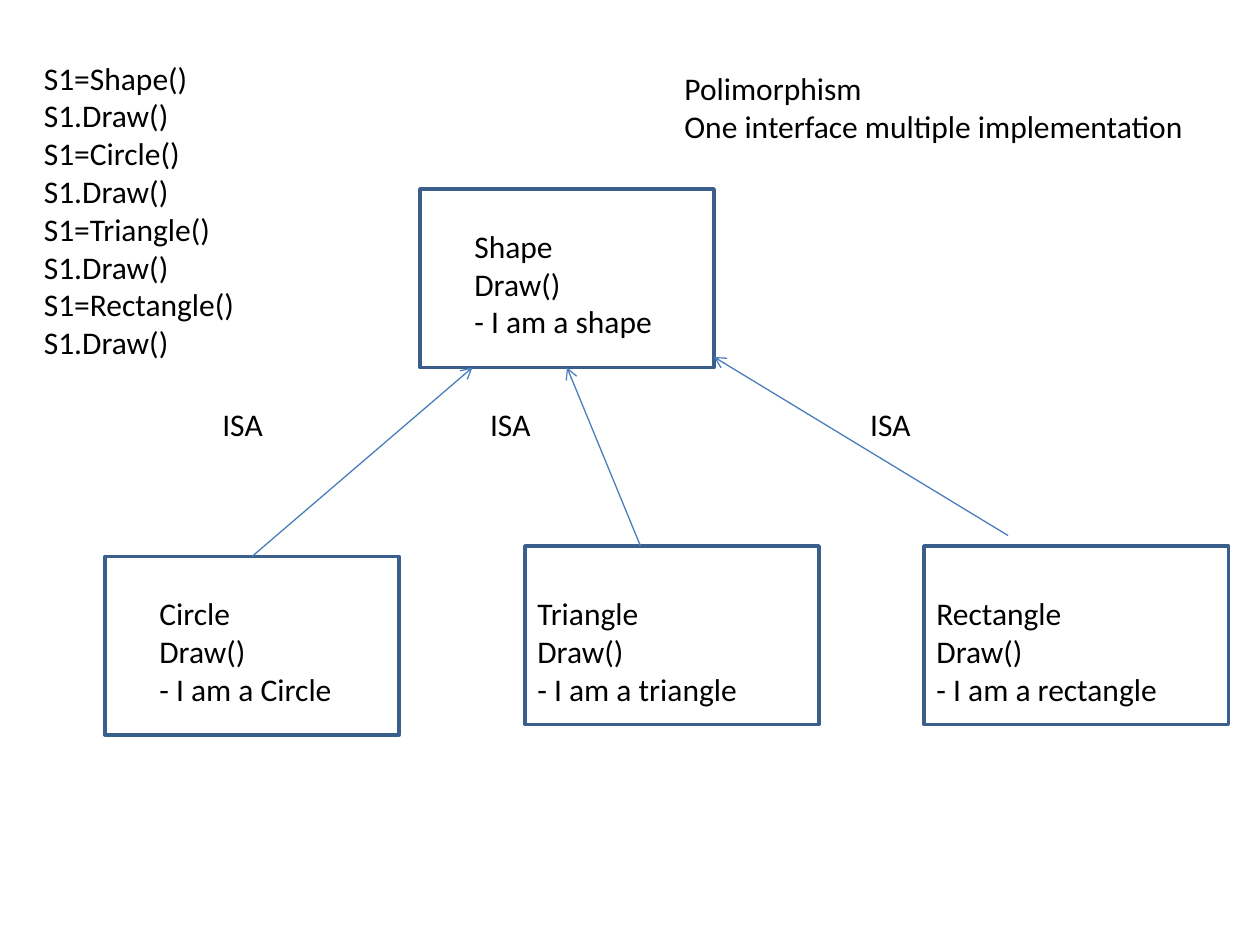
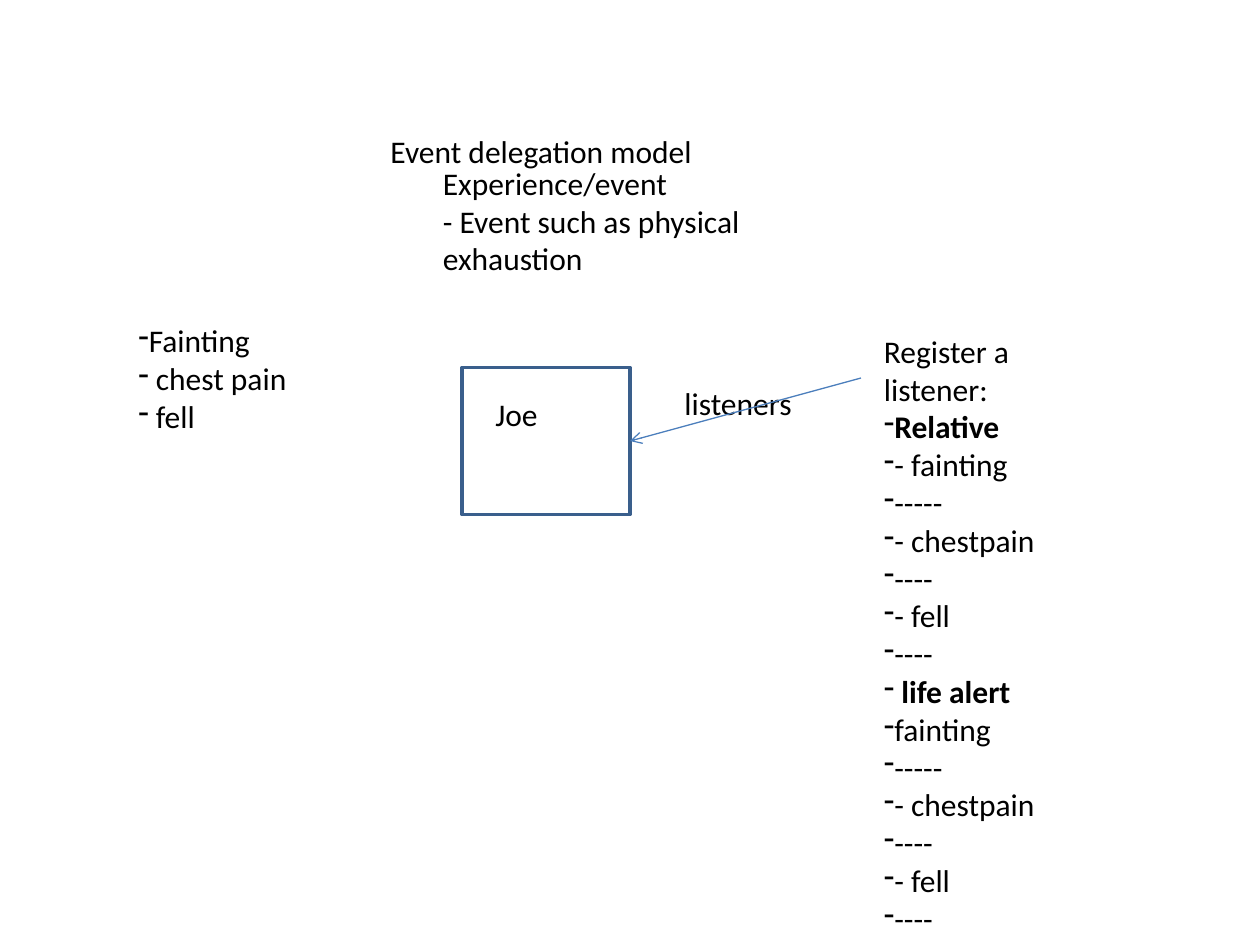
from lxml import etree
from pptx import Presentation
from pptx.dml.color import RGBColor
from pptx.enum.shapes import MSO_CONNECTOR, MSO_SHAPE
from pptx.enum.text import MSO_AUTO_SIZE
from pptx.oxml.ns import qn
from pptx.util import Pt

PX = 7620  # EMU per px, 120 px to the inch
BOX_LINE = RGBColor(0x3A, 0x5F, 0x8C)
ARROW_LINE = RGBColor(0x4B, 0x7E, 0xBC)
TEXT_COLOR = RGBColor(0, 0, 0)
FONT_NAME = "Calibri"
FONT_SIZE = Pt(18)
RECTANGLE = MSO_SHAPE.RECTANGLE
STRAIGHT = MSO_CONNECTOR.STRAIGHT
FIT_SHAPE = MSO_AUTO_SIZE.SHAPE_TO_FIT_TEXT
TOP, RIGHT = 0, 3

presentation = Presentation()
presentation.slide_width = 1200 * PX
presentation.slide_height = 900 * PX
blank_layout = presentation.slide_layouts[6]


def add_text(slide, left, top, width, height, text, dashed_from=None, bold_lines=()):
    """Add a text box; lines from index dashed_from on get a dash bullet."""
    text_box = slide.shapes.add_textbox(left * PX, top * PX, width * PX, height * PX)
    text_frame = text_box.text_frame
    text_frame.word_wrap = True
    text_frame.auto_size = FIT_SHAPE
    text_frame.text = text
    for index, paragraph in enumerate(text_frame.paragraphs):
        if dashed_from is not None and index >= dashed_from:
            properties = paragraph._p.get_or_add_pPr()
            etree.SubElement(properties, qn("a:buFontTx"))
            etree.SubElement(properties, qn("a:buChar"), char="-")
        for run in paragraph.runs:
            run.font.name = FONT_NAME
            run.font.size = FONT_SIZE
            run.font.color.rgb = TEXT_COLOR
            run.font.bold = index in bold_lines


def add_outline(slide, left, top, width, height):
    outline = slide.shapes.add_shape(RECTANGLE, left * PX, top * PX, width * PX, height * PX)
    outline.shadow.inherit = False
    outline.fill.background()
    outline.line.color.rgb = BOX_LINE
    outline.line.width = Pt(2)
    return outline


# Slide 1: polymorphism
polymorphism_slide = presentation.slides.add_slide(blank_layout)
class_boxes = [
    # box left, top, width; text left, top, width; text
    (400, 180, 280, 440, 210, 360, "Shape\nDraw()\n- I am a shape"),
    (100, 530, 280, 140, 560, 220, "Circle\nDraw()\n- I am a Circle"),
    (500, 520, 280, 500, 560, 320, "Triangle\nDraw()\n- I am a triangle"),
    (880, 520, 290, 880, 560, 280, "Rectangle\nDraw()\n- I am a rectangle"),
]
outlines = []
for left, top, width, text_left, text_top, text_width, text in class_boxes:
    outlines.append(add_outline(polymorphism_slide, left, top, width, 170))
    add_text(polymorphism_slide, text_left, text_top, text_width, 121, text)
circle_box = outlines[1]

for left in (200, 455, 817):
    add_text(polymorphism_slide, left, 380, 70, 48, "ISA")

calls = [f"S1={name}()\nS1.Draw()" for name in ("Shape", "Circle", "Triangle", "Rectangle")]
add_text(polymorphism_slide, 30, 50, 300, 302, "\n".join(calls))
add_text(polymorphism_slide, 640, 60, 560, 85,
         "Polimorphism\nOne interface multiple implementation")

# Slide 2: event delegation
event_slide = presentation.slides.add_slide(blank_layout)
joe_box = add_outline(event_slide, 440, 350, 160, 140)
add_text(event_slide, 460, 370, 120, 48, "Joe")
add_text(event_slide, 120, 300, 190, 121, "Fainting\n chest pain\n fell", dashed_from=0)
add_text(event_slide, 410, 150, 310, 121,
         "Experience/event\n- Event such as physical exhaustion")

reactions = ["-----", "- chestpain", "----", "- fell", "----"]
listener_lines = ["Register a listener:", "Relative", "- fainting", *reactions,
                  " life alert", "fainting", *reactions]
add_text(event_slide, 830, 310, 200, 630, "\n".join(listener_lines),
         dashed_from=1, bold_lines=(1, 8))
add_text(event_slide, 640, 360, 150, 48, "listeners")
add_text(event_slide, 360, 120, 390, 48, "Event delegation model")

# Arrows of both slides
arrows = [
    # slide, start x, y, end x, y, box and side joined at the start, at the end
    (polymorphism_slide, 240, 530, 450, 350, (circle_box, TOP), None),
    (polymorphism_slide, 610, 520, 540, 350, None, None),
    (polymorphism_slide, 960, 510, 680, 340, None, None),
    (event_slide, 820, 360, 600, 420, None, (joe_box, RIGHT)),
]
for slide, start_x, start_y, end_x, end_y, start_joint, end_joint in arrows:
    arrow = slide.shapes.add_connector(
        STRAIGHT, start_x * PX, start_y * PX, end_x * PX, end_y * PX)
    if start_joint:
        arrow.begin_connect(*start_joint)
    if end_joint:
        arrow.end_connect(*end_joint)
    arrow.line.color.rgb = ARROW_LINE
    arrow.line.width = Pt(0.75)
    etree.SubElement(arrow.line._get_or_add_ln(), qn("a:tailEnd"), type="arrow")
    etree.SubElement(arrow._element.spPr, qn("a:effectLst"))

presentation.save("out.pptx")
